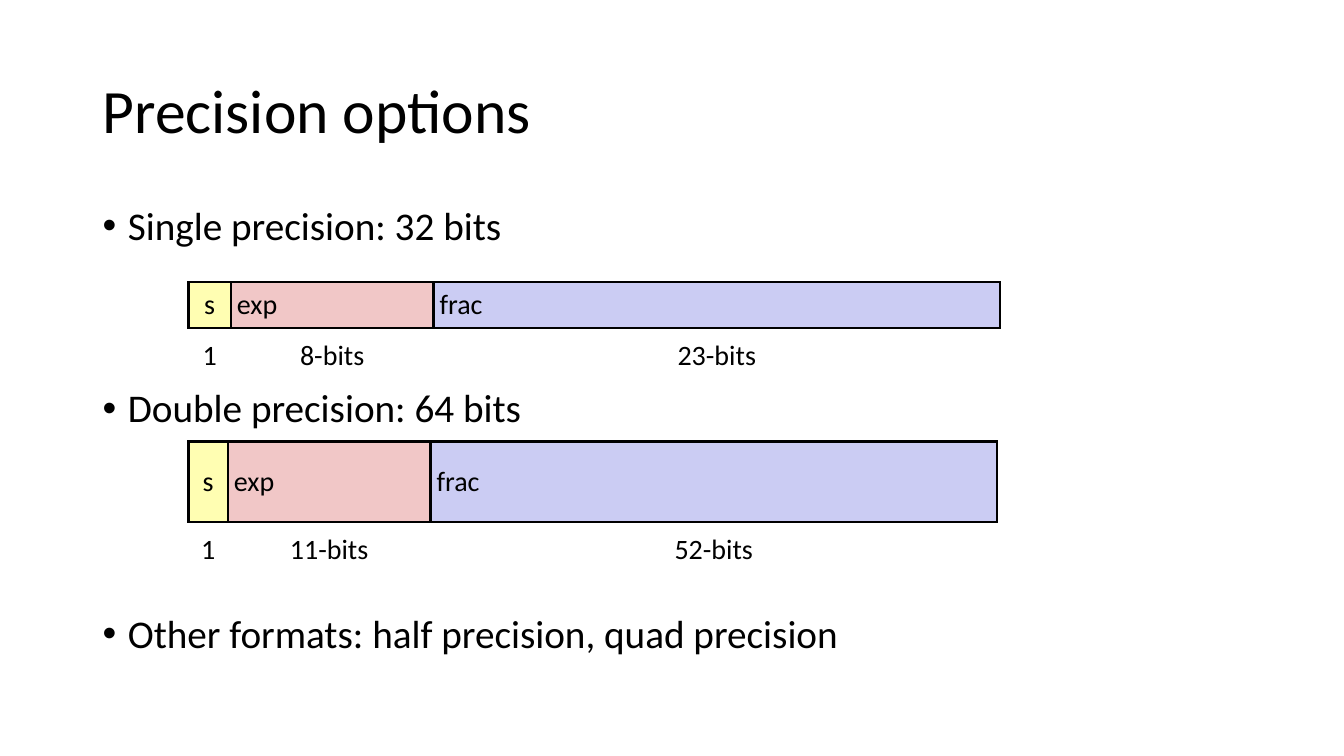
from lxml.etree import SubElement
from pptx import Presentation
from pptx.dml.color import RGBColor
from pptx.enum.text import MSO_ANCHOR, PP_ALIGN
from pptx.oxml.ns import qn
from pptx.util import Pt

PX = 9144  # 100 px to the inch
FONT = "Calibri"
BLACK = "000000"
FIELDS = [("s", "FFFEB2"), ("exp", "F1C7C7"), ("frac", "CBCCF3")]
BULLETS = [  # text, space before in points
    ("Single precision: 32 bits", 10),
    ("Double precision: 64 bits", 100),
    ("Other formats: half precision, quad precision", 131),
]


def px(*lengths):
    return [length * PX for length in lengths]


def color(hex_string):
    return RGBColor.from_string(hex_string)


def style(paragraph, size, align=PP_ALIGN.LEFT):
    paragraph.alignment = align
    paragraph.font.name = FONT
    paragraph.font.size = Pt(size)
    paragraph.font.color.rgb = color(BLACK)


def add_title(slide, box, text):
    frame = slide.shapes.add_textbox(*px(*box)).text_frame
    frame.word_wrap = True
    frame.vertical_anchor = MSO_ANCHOR.MIDDLE
    title = frame.paragraphs[0]
    title.text = text
    title.line_spacing = 0.9
    style(title, 44)


def add_bullets(slide, box, bullets):
    frame = slide.shapes.add_textbox(*px(*box)).text_frame
    frame.word_wrap = True
    for i, (text, space_before) in enumerate(bullets):
        bullet = frame.add_paragraph() if i else frame.paragraphs[0]
        bullet.text = text
        bullet.line_spacing = 0.9
        bullet.space_before = Pt(space_before)
        style(bullet, 28)
        properties = bullet._p.get_or_add_pPr()
        hang = 25 * PX
        properties.set("marL", str(hang))
        properties.set("indent", str(-hang))
        SubElement(properties, qn("a:buFont"), typeface="Arial")
        SubElement(properties, qn("a:buChar"), char="•")


def set_borders(cell, visible_sides):
    properties = cell._tc.get_or_add_tcPr()
    for side in "LRTB":
        line = SubElement(properties, qn(f"a:ln{side}"), w=str(Pt(2)))
        if side in visible_sides:
            fill = SubElement(line, qn("a:solidFill"))
            SubElement(fill, qn("a:srgbClr"), val=BLACK)
        else:
            SubElement(line, qn("a:noFill"))


def add_bit_layout(slide, left, top, widths, heights, bit_counts):
    """A row of coloured fields above a row with their bit counts."""
    box = px(left, top, sum(widths), sum(heights))
    table = slide.shapes.add_table(2, len(FIELDS), *box).table
    table.first_row = table.horz_banding = False
    for row, height in zip(table.rows, px(*heights)):
        row.height = height
    for i, ((field, fill), bits, width) in enumerate(zip(FIELDS, bit_counts, px(*widths))):
        table.columns[i].width = width
        for j, text in enumerate((field, bits)):
            cell = table.cell(j, i)
            cell.margin_left = cell.margin_right = 6 * PX
            cell.margin_top = cell.margin_bottom = 6 * PX
            cell.vertical_anchor = MSO_ANCHOR.MIDDLE
            cell.text = text
            centred = i == 0 or j == 1
            style(cell.text_frame.paragraphs[0], 20,
                  PP_ALIGN.CENTER if centred else PP_ALIGN.LEFT)
            set_borders(cell, "T" if j else "LRTB")
            if j:
                cell.fill.background()
            else:
                cell.fill.solid()
                cell.fill.fore_color.rgb = color(fill)


def main():
    presentation = Presentation()
    presentation.slide_width, presentation.slide_height = px(1333, 750)
    slide = presentation.slides.add_slide(presentation.slide_layouts[6])

    # Heading and list
    add_title(slide, (92, 40, 1150, 145), "Precision options")
    add_bullets(slide, (92, 200, 1150, 476), BULLETS)

    # Single and double precision layouts
    add_bit_layout(slide, 187, 280, (42, 201, 562), (45, 56), ("1", "8-bits", "23-bits"))
    add_bit_layout(slide, 187, 438, (39, 201, 562), (80, 56), ("1", "11-bits", "52-bits"))

    presentation.save("out.pptx")


if __name__ == "__main__":
    main()
